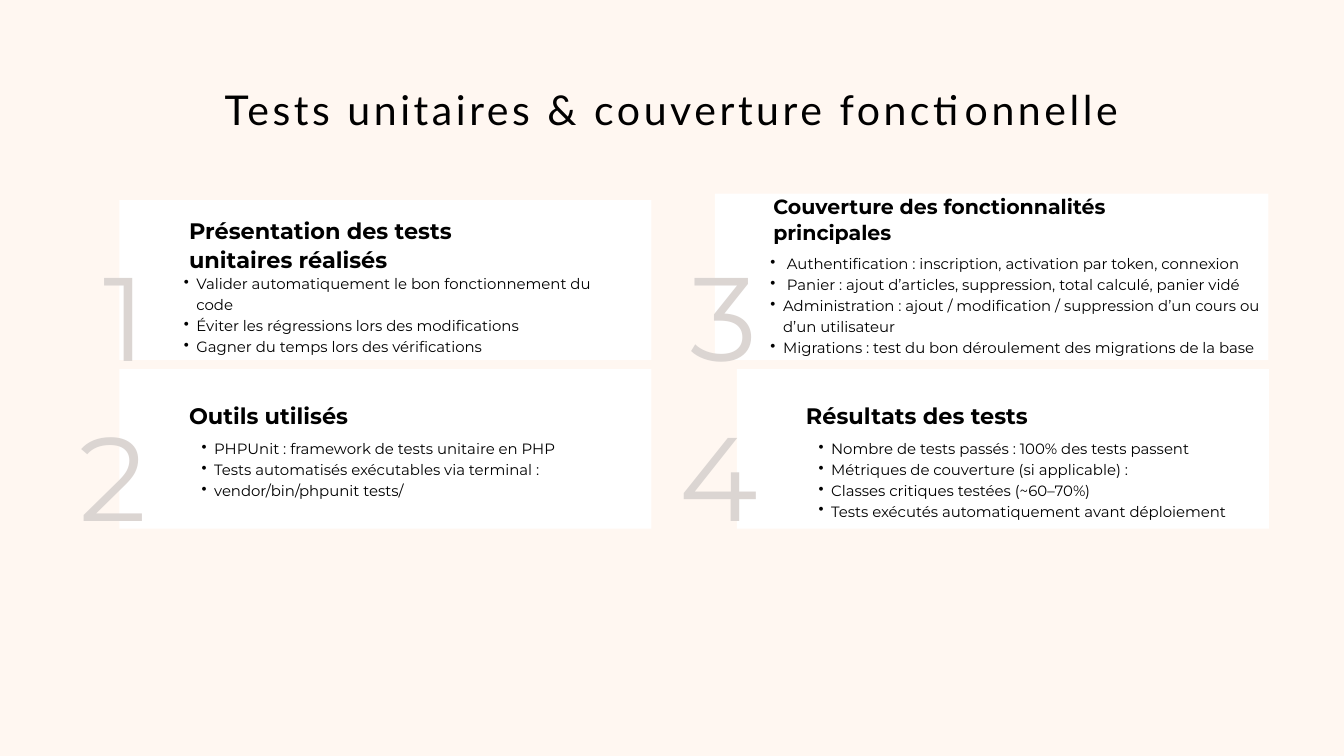
from pptx import Presentation
from pptx.dml.color import RGBColor
from pptx.enum.shapes import MSO_SHAPE
from pptx.enum.text import PP_ALIGN
from pptx.oxml.xmlchemy import OxmlElement
from pptx.util import Pt

BACKGROUND, CARD, INK, NUMBER = "FFF7F1", "FFFFFF", "000000", "DBD5D2"
TITLE = "Tests unitaires & couverture fonctionnelle"

# Card: (left, top, width, height); heading and bullets: (left, top, width, height)
CARDS = [
    dict(number="1", card=(128, 214.5, 570, 171),
         heading="Présentation des tests unitaires réalisés",
         heading_box=(202.5, 231, 394, 89), heading_size=24, heading_leading=30.5,
         bullets=["Valider automatiquement le bon fonctionnement du code",
                  "Éviter les régressions lors des modifications",
                  "Gagner du temps lors des vérifications"],
         bullets_box=(183.5, 291.5, 459.5, 108)),
    dict(number="2", card=(128, 395.5, 570, 171),
         heading="Outils utilisés",
         heading_box=(202.5, 429, 394, 59), heading_size=24, heading_leading=30.5,
         bullets=["PHPUnit : framework de tests unitaire en PHP",
                  "Tests automatisés exécutables via terminal :",
                  "vendor/bin/phpunit tests/"],
         bullets_box=(202.5, 468, 459.5, 86)),
    dict(number="3", card=(766, 207.5, 593, 178),
         heading="Couverture des fonctionnalités principales",
         heading_box=(828.5, 206.5, 394, 83), heading_size=22, heading_leading=27.9,
         bullets=[" Authentification : inscription, activation par token, connexion",
                  " Panier : ajout d’articles, suppression, total calculé, panier vidé",
                  "Administration : ajout / modification / suppression d’un cours ou d’un utilisateur",
                  "Migrations : test du bon déroulement des migrations de la base"],
         bullets_box=(812, 270, 547, 130)),
    dict(number="4", card=(789.5, 395.5, 570, 171),
         heading="Résultats des tests",
         heading_box=(863.5, 429, 394, 59), heading_size=24, heading_leading=30.5,
         bullets=["Nombre de tests passés : 100% des tests passent",
                  "Métriques de couverture (si applicable) :",
                  "Classes critiques testées (~60–70%)",
                  "Tests exécutés automatiquement avant déploiement"],
         bullets_box=(863.5, 468, 459.5, 108)),
]
NUMBER_LEFTS, NUMBER_TOPS = (65, 720), (155, 325.5)
ROWS = len(NUMBER_TOPS)


def color(value):
    return RGBColor.from_string(value)


def add_bullet(paragraph, indent=27, hanging=13.5):
    paragraph.level = 1
    properties = paragraph._p.get_or_add_pPr()
    properties.set("marL", str(Pt(indent)))
    properties.set("indent", str(-Pt(hanging)))
    bullet = OxmlElement("a:buChar")
    bullet.set("char", "•")
    properties.append(bullet)


def add_text(slide, box, lines, *, size, leading, font="Montserrat", ink=INK,
             bold=False, align=PP_ALIGN.LEFT, tracking=0, bulleted=False):
    frame = slide.shapes.add_textbox(*map(Pt, box)).text_frame
    frame.word_wrap = True
    frame.margin_left = frame.margin_top = frame.margin_right = frame.margin_bottom = 0
    for index, line in enumerate(lines):
        paragraph = frame.paragraphs[0] if index == 0 else frame.add_paragraph()
        paragraph.alignment = align
        paragraph.line_spacing = Pt(leading)
        if bulleted:
            add_bullet(paragraph)
        run = paragraph.add_run()
        run.text = line
        run.font.name = font
        run.font.size = Pt(size)
        run.font.bold = bold
        run.font.color.rgb = color(ink)
        if tracking:
            run._r.get_or_add_rPr().set("spc", str(round(tracking * 100)))


def add_card(slide, box):
    shape = slide.shapes.add_shape(MSO_SHAPE.RECTANGLE, *map(Pt, box))
    shape.shadow.inherit = False
    shape.fill.solid()
    shape.fill.fore_color.rgb = color(CARD)
    shape.line.fill.background()


def main():
    presentation = Presentation()
    presentation.slide_width, presentation.slide_height = Pt(1440), Pt(810)
    slide = presentation.slides.add_slide(presentation.slide_layouts[6])
    slide.background.fill.solid()
    slide.background.fill.fore_color.rgb = color(BACKGROUND)

    for card in CARDS:
        add_card(slide, card["card"])
    for card in CARDS:
        add_text(slide, card["heading_box"], [card["heading"]], bold=True,
                 size=card["heading_size"], leading=card["heading_leading"])
        add_text(slide, card["bullets_box"], card["bullets"],
                 size=16, leading=22.4, bulleted=True)
    add_text(slide, (81, 54, 1278, 169), [TITLE], font="Lato", size=44,
             leading=89.3, align=PP_ALIGN.CENTER, tracking=3.8)
    for index, card in enumerate(CARDS):
        column, row = divmod(index, ROWS)
        add_text(slide, (NUMBER_LEFTS[column], NUMBER_TOPS[row], 92, 230),
                 [card["number"]], size=127.2, leading=258.2, ink=NUMBER,
                 align=PP_ALIGN.RIGHT, tracking=10.9)

    presentation.save("out.pptx")


if __name__ == "__main__":
    main()
